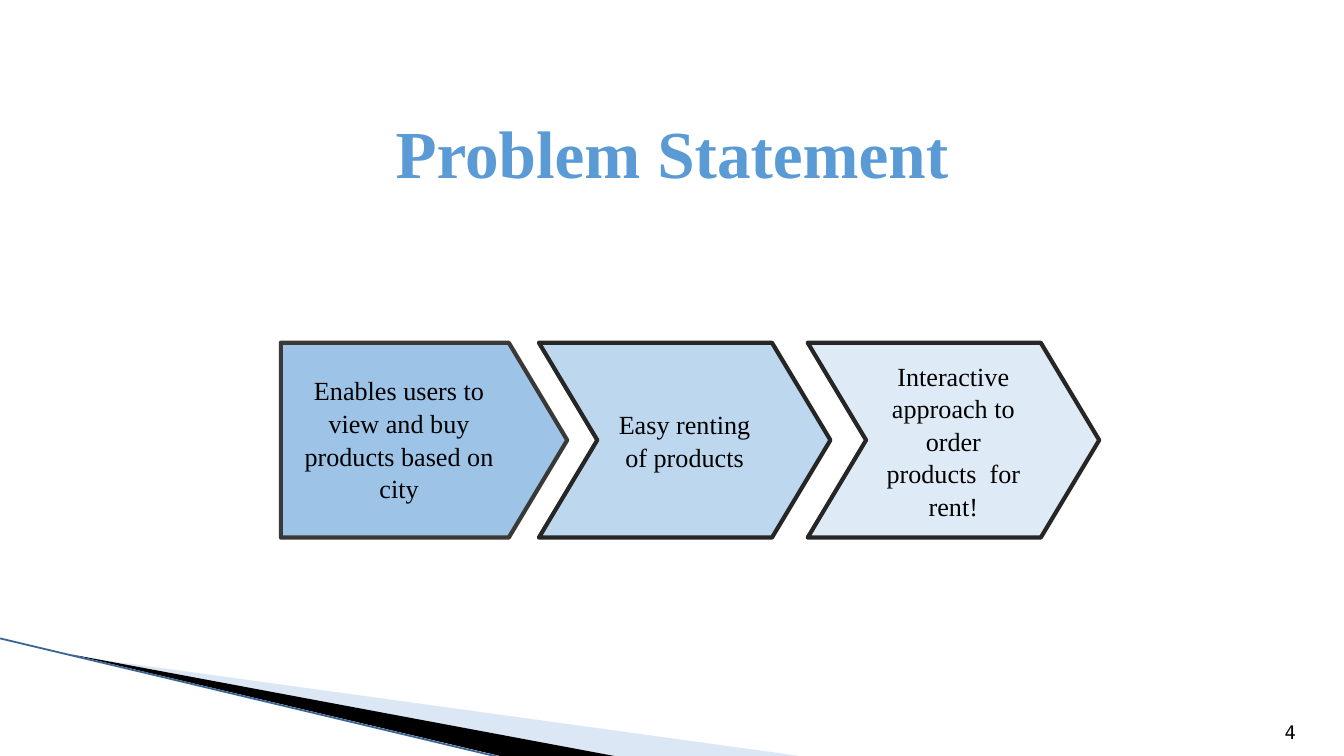
from dataclasses import dataclass

from lxml import etree
from pptx import Presentation
from pptx.dml.color import RGBColor
from pptx.enum import shapes, text
from pptx.oxml.ns import qn
from pptx.util import Pt


@dataclass(frozen=True)
class Theme:
    font: str = "Times New Roman"
    number_font: str = "DejaVu Sans Mono"
    title_size: int = 36
    body_size: int = 14
    number_size: int = 10
    title: str = "5B9BD5"
    ink: str = "000000"
    wedge: str = "A9C5E9"
    rule: str = "3A6596"
    first_fill: str = "9DC3E6"
    first_line: str = "3B3838"
    step_fills: tuple = ("BDD7EE", "DEEBF7")
    step_line: str = "262626"


class SlideBuilder:
    def __init__(self, slide, theme):
        self.s, self.theme = slide, theme

    def set_text(self, sp, words, size, color, font=None, bold=False, inset=7.2,
                 align=text.PP_ALIGN.CENTER, anchor=text.MSO_ANCHOR.TOP):
        tf = sp.text_frame
        tf.word_wrap = True
        tf.auto_size = text.MSO_AUTO_SIZE.NONE
        tf.vertical_anchor = anchor
        tf.margin_left = tf.margin_right = Pt(7.2)
        tf.margin_top = tf.margin_bottom = Pt(inset)
        p = tf.paragraphs[0]
        p.text, p.alignment, p.line_spacing = words, align, 1.04
        p.font.name, p.font.size = font or self.theme.font, Pt(size)
        p.font.bold = bold
        p.font.color.rgb = RGBColor.from_string(color)

    def title(self, words, box):
        sp = self.s.shapes.title
        sp.left, sp.top, sp.width, sp.height = map(Pt, box)
        self.set_text(sp, words, self.theme.title_size, self.theme.title,
                      bold=True, inset=10)

    def label(self, words, box, size, **style):
        sp = self.s.shapes.add_textbox(*map(Pt, box))
        self.set_text(sp, words, size, self.theme.ink, **style)

    def arrow(self, kind, box, fill, line, words=None):
        sp = self.s.shapes.add_shape(kind, *map(Pt, box))
        sp.adjustments[0] = 0.3
        sp.shadow.inherit = False
        sp.fill.solid()
        sp.fill.fore_color.rgb = RGBColor.from_string(fill)
        sp.line.color.rgb = RGBColor.from_string(line)
        sp.line.width = Pt(2.25)
        if words:
            self.set_text(sp, words, self.theme.body_size, self.theme.ink,
                          anchor=text.MSO_ANCHOR.MIDDLE)

    def polygon(self, points, fill, opacity=None):
        start, *rest = [(Pt(x), Pt(y)) for x, y in points]
        builder = self.s.shapes.build_freeform(*start)
        builder.add_line_segments(rest, close=True)
        sp = builder.convert_to_shape()
        sp.shadow.inherit = False
        sp.fill.solid()
        sp.fill.fore_color.rgb = RGBColor.from_string(fill)
        sp.line.fill.background()
        if opacity:
            solid = sp._element.spPr.find(qn("a:solidFill"))
            etree.SubElement(solid[0], qn("a:alpha"), val=str(opacity * 1000))

    def line(self, start, end, color, width):
        c = self.s.shapes.add_connector(shapes.MSO_CONNECTOR.STRAIGHT,
                                        *map(Pt, start + end))
        c.line.color.rgb = RGBColor.from_string(color)
        c.line.width = Pt(width)
        etree.SubElement(c._element.spPr, qn("a:effectLst"))


def main():
    prs = Presentation()
    prs.slide_width, prs.slide_height = Pt(720), Pt(405)
    theme = Theme()
    b = SlideBuilder(prs.slides.add_slide(prs.slide_layouts[5]), theme)

    # Corner decoration
    b.polygon([(39.6, 351.4), (428.4, 405), (328.3, 405)], theme.wedge, 40)
    b.polygon([(38.2, 350.6), (329, 405), (267.8, 405)], theme.ink)
    b.line((0, 342), (267, 405.5), theme.rule, 0.95)

    # Title and slide number
    b.title("Problem Statement", (123.1, 48.2, 473.8, 51.1))
    b.label("4", (681.1, 378.7, 28.8, 21.6), theme.number_size,
            font=theme.number_font, align=text.PP_ALIGN.LEFT)

    # First step: a pentagon with its own label
    top, height = 183.6, 104.4
    b.arrow(shapes.MSO_SHAPE.PENTAGON, (150.5, top, 153.4, height),
            theme.first_fill, theme.first_line)
    b.label("Enables users to view and buy products based on city",
            (151.9, 196.6, 123.8, 74.9), theme.body_size, inset=3.6)

    # Following steps: evenly spaced chevrons
    steps = ("Easy renting of products",
             "Interactive approach to order products  for rent!")
    for i, (words, fill) in enumerate(zip(steps, theme.step_fills)):
        b.arrow(shapes.MSO_SHAPE.CHEVRON, (288.7 + 144 * i, top, 156.2, height),
                fill, theme.step_line, words)

    prs.save("out.pptx")


if __name__ == "__main__":
    main()
